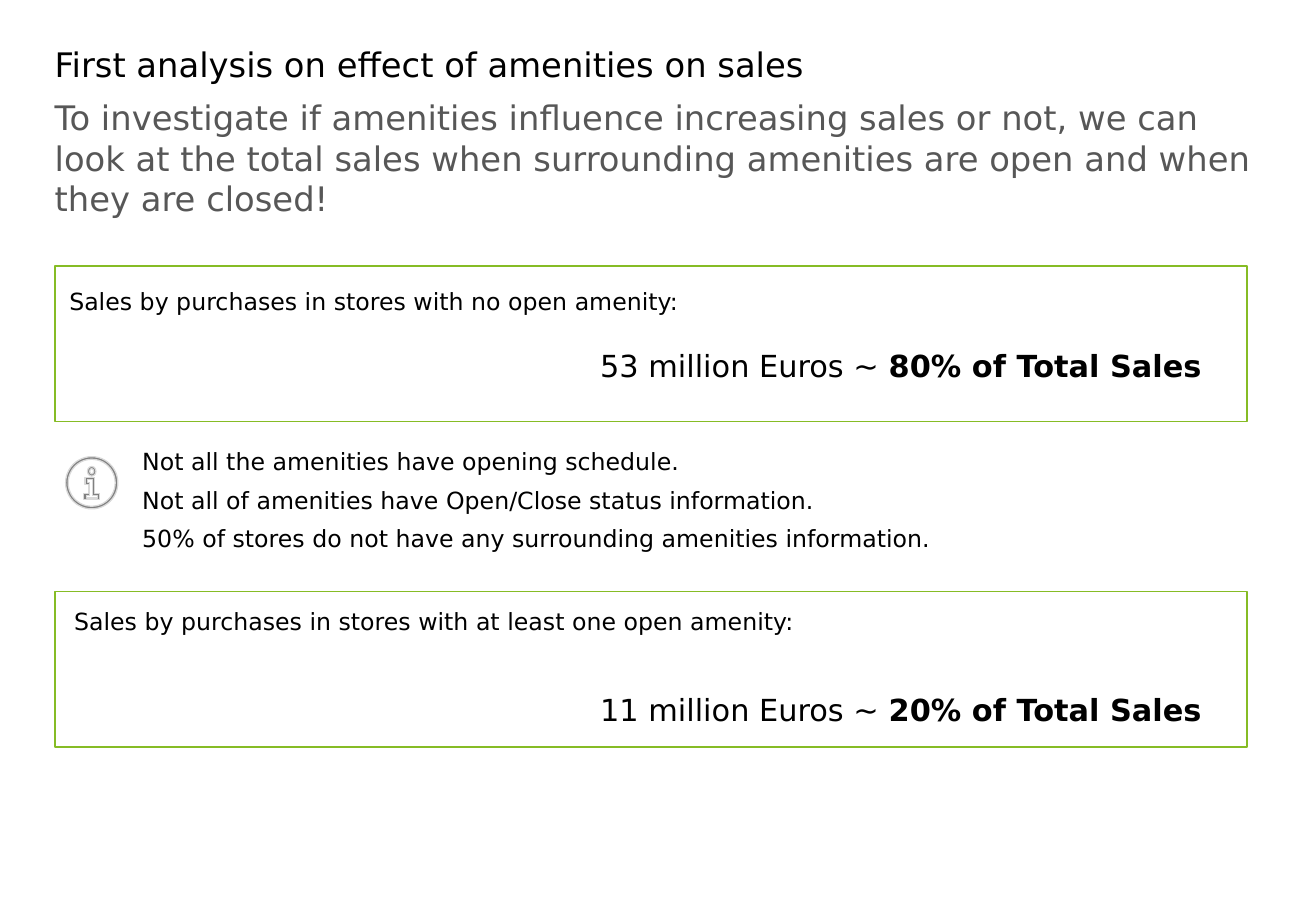
"""Build the slide on the effect of amenities on sales."""
from dataclasses import dataclass

from pptx import Presentation
from pptx.dml.color import RGBColor
from pptx.enum.shapes import MSO_SHAPE
from pptx.enum.text import MSO_ANCHOR
from pptx.shapes.autoshape import Shape
from pptx.slide import Slide
from pptx.util import Emu, Pt

RECTANGLE, DONUT = MSO_SHAPE.RECTANGLE, MSO_SHAPE.DONUT
TOP, MIDDLE = MSO_ANCHOR.TOP, MSO_ANCHOR.MIDDLE

BLACK = RGBColor(0x00, 0x00, 0x00)
SLATE = RGBColor(0x57, 0x57, 0x57)
GREEN = RGBColor(0x86, 0xBC, 0x25)
GREY = RGBColor(0x80, 0x80, 0x80)
PALE_GREY = RGBColor(0xD9, 0xD9, 0xD9)

FONT = "DejaVu Sans"
PX = 9144
SLIDE_WIDTH, SLIDE_HEIGHT = 1083, 750
BLANK_LAYOUT = 6


@dataclass(frozen=True)
class Area:
    """A place on the slide in px."""
    left: int
    top: int
    width: int
    height: int

    def emu(self) -> tuple[Emu, Emu, Emu, Emu]:
        """Return the place in EMU."""
        return (Emu(self.left * PX), Emu(self.top * PX),
                Emu(self.width * PX), Emu(self.height * PX))


@dataclass(frozen=True)
class Span:
    """A piece of text with one weight."""
    text: str
    bold: bool = False


@dataclass(frozen=True)
class TextBlock:
    """A text box with its paragraphs and format."""
    area: Area
    paragraphs: tuple[tuple[Span, ...], ...]
    size: int
    color: RGBColor = BLACK
    before: int = 0
    anchor: MSO_ANCHOR = TOP
    inset_x: int = 0
    inset_y: int = 0


@dataclass(frozen=True)
class Ring:
    """A donut whose band is a share of its size."""
    area: Area
    band: float


def sales_block(top: int, amount: str, share: str) -> TextBlock:
    """Describe one sales figure."""
    spans = (Span(f"{amount} million Euros ~ "), Span(f"{share} of Total Sales", True))
    return TextBlock(Area(484, top, 532, 40), (spans,), 18, inset_x=10, inset_y=5)


TEXT_BLOCKS = (
    TextBlock(Area(45, 36, 992, 34),
              ((Span("First analysis on effect of amenities on sales"),),),
              20, before=6, anchor=MIDDLE),
    TextBlock(Area(45, 80, 992, 66),
              ((Span("To investigate if amenities influence increasing sales or not, "
                     "we can look at the total sales when surrounding amenities are "
                     "open and when they are closed!"),),),
              20, SLATE),
    TextBlock(Area(57, 236, 525, 56),
              ((Span("Sales by purchases in stores with no open amenity:"),),),
              14, before=6),
    TextBlock(Area(61, 500, 631, 56),
              ((Span("Sales by purchases in stores with at least one open amenity:"),),),
              14, before=6),
    sales_block(281, "53", "80%"),
    sales_block(564, "11", "20%"),
    TextBlock(Area(117, 368, 809, 88),
              ((Span("Not all the amenities have opening schedule."),),
               (Span("Not all of amenities have Open/Close status information."),),
               (Span("50% of stores do not have any surrounding amenities information."),)),
              14, before=6),
)
FRAMES = tuple(Area(45, top, 981, 128) for top in (219, 487))
RINGS = (Ring(Area(54, 376, 43, 43), 0.05), Ring(Area(72, 384, 7, 8), 0.27))
STEM_OUTER = ((69, 411), (69, 406), (73, 406), (73, 399), (70, 399), (70, 393),
              (78, 393), (78, 406), (82, 406), (82, 411))
STEM_INNER = ((71, 410), (80, 410), (80, 408), (76, 408), (76, 395), (72, 395),
              (72, 397), (74, 397), (74, 408), (71, 408))


def add_text(page: Slide, block: TextBlock) -> None:
    """Add one text box."""
    frame = page.shapes.add_textbox(*block.area.emu()).text_frame
    frame_format = {
        "word_wrap": True,
        "vertical_anchor": block.anchor,
        "margin_left": Emu(block.inset_x * PX),
        "margin_right": Emu(block.inset_x * PX),
        "margin_top": Emu(block.inset_y * PX),
        "margin_bottom": Emu(block.inset_y * PX),
    }
    for name, value in frame_format.items():
        setattr(frame, name, value)
    for index, spans in enumerate(block.paragraphs):
        para = frame.add_paragraph() if index else frame.paragraphs[0]
        para.space_before = Pt(block.before)
        for span in spans:
            run = para.add_run()
            run.text = span.text
            font_format = {"name": FONT, "size": Pt(block.size), "bold": span.bold}
            for name, value in font_format.items():
                setattr(run.font, name, value)
            run.font.color.rgb = block.color


def style_shape(shape: Shape, fill: RGBColor | None, line: RGBColor, width: float) -> None:
    """Set the fill and outline of a shape without a shadow."""
    shape.shadow.inherit = False
    if fill is None:
        shape.fill.background()
    else:
        shape.fill.solid()
        shape.fill.fore_color.rgb = fill
    shape.line.color.rgb = line
    shape.line.width = Pt(width)


def add_frame(page: Slide, area: Area) -> None:
    """Add one green frame."""
    style_shape(page.shapes.add_shape(RECTANGLE, *area.emu()), None, GREEN, 1)


def add_info_icon(page: Slide) -> None:
    """Add the outlined letter i in its circle."""
    for ring in RINGS:
        donut = page.shapes.add_shape(DONUT, *ring.area.emu())
        donut.adjustments[0] = ring.band
        style_shape(donut, GREY, PALE_GREY, 0.75)
    builder = page.shapes.build_freeform(*STEM_OUTER[0], scale=PX)
    builder.add_line_segments(STEM_OUTER[1:], close=True)
    builder.move_to(*STEM_INNER[0])
    builder.add_line_segments(STEM_INNER[1:], close=True)
    style_shape(builder.convert_to_shape(), GREY, PALE_GREY, 0.75)


def main() -> None:
    """Build and save the deck."""
    deck = Presentation()
    deck.slide_width, deck.slide_height = Emu(SLIDE_WIDTH * PX), Emu(SLIDE_HEIGHT * PX)
    page = deck.slides.add_slide(deck.slide_layouts[BLANK_LAYOUT])
    for block in TEXT_BLOCKS:
        add_text(page, block)
    for area in FRAMES:
        add_frame(page, area)
    add_info_icon(page)
    deck.save("out.pptx")


if __name__ == "__main__":
    main()
